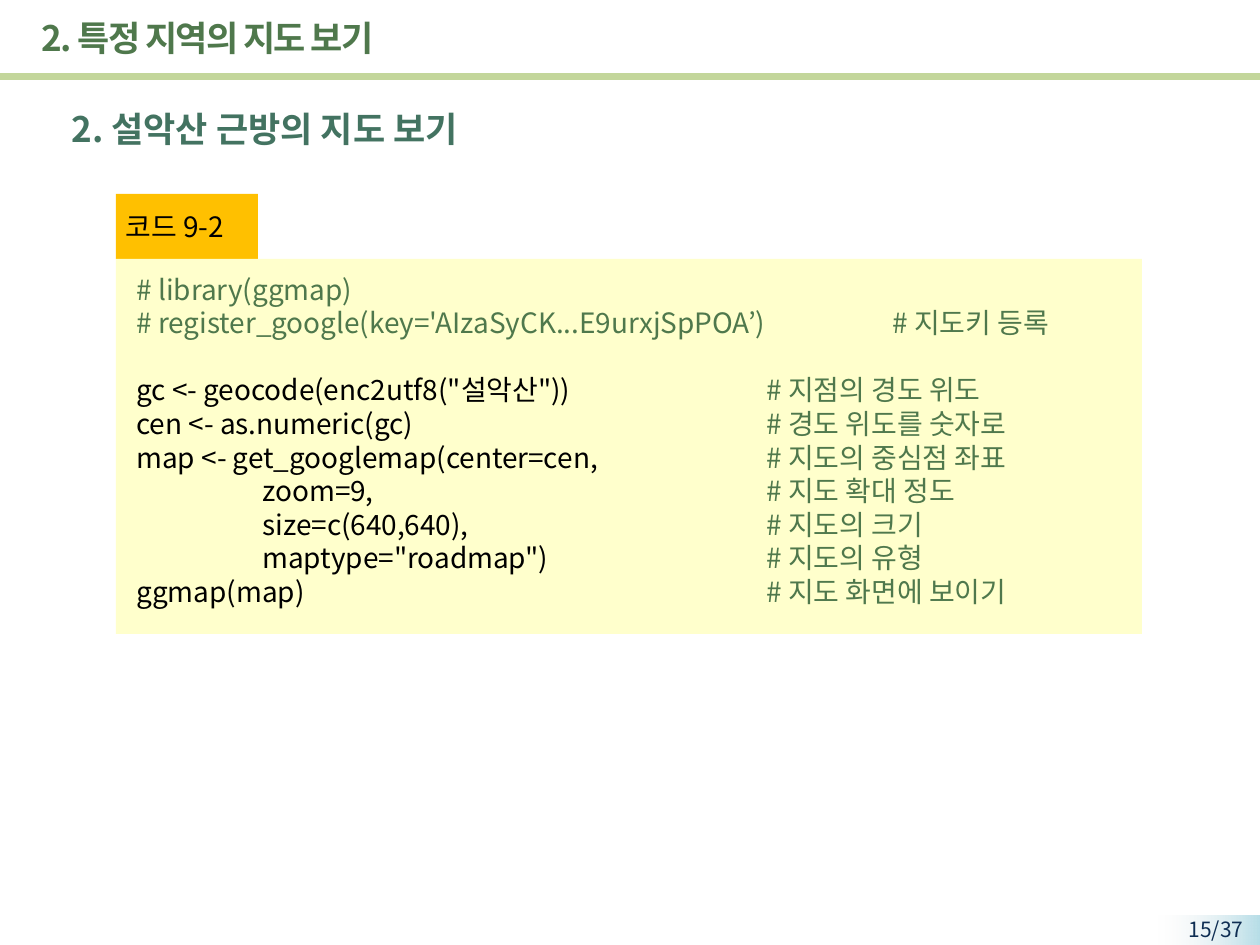
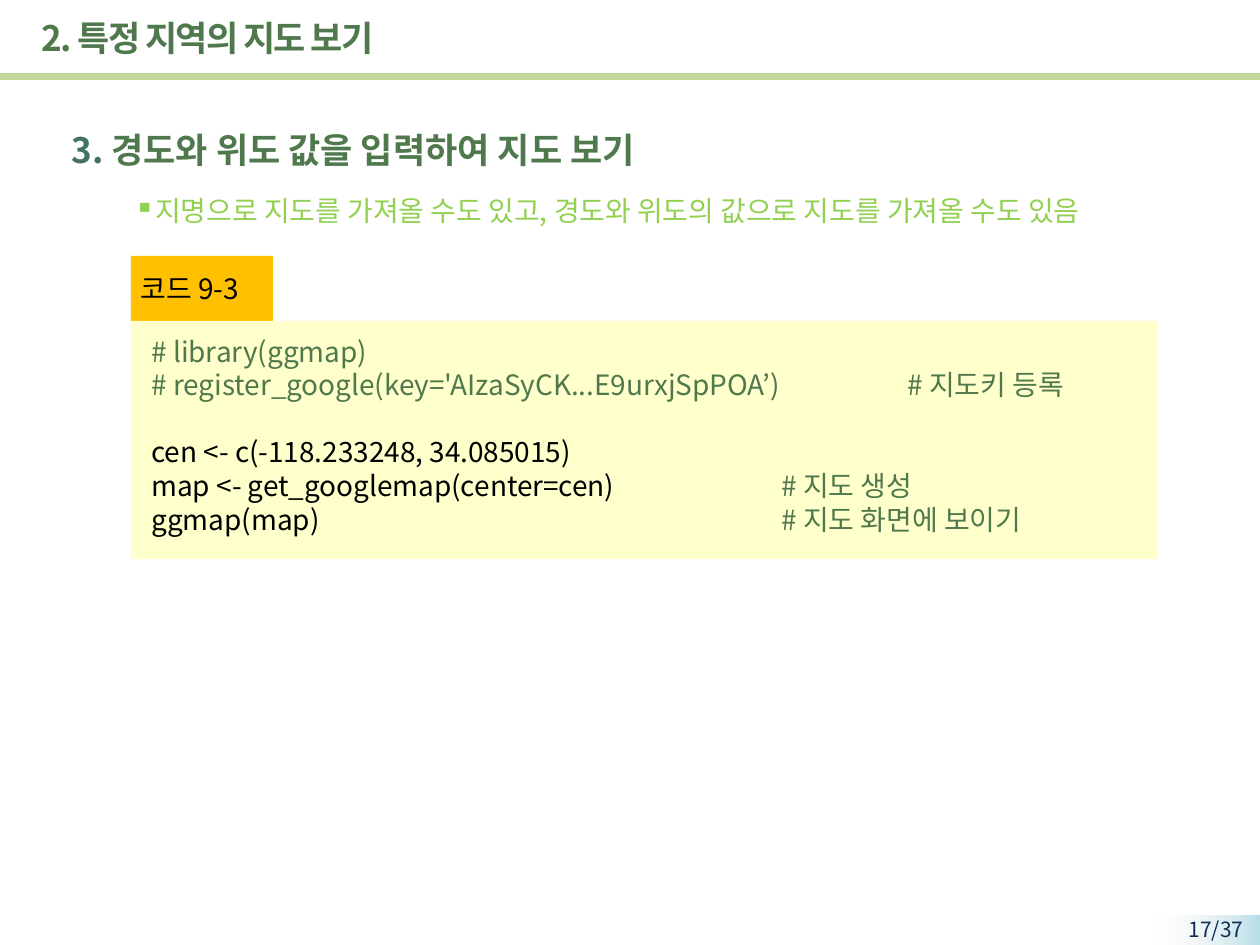
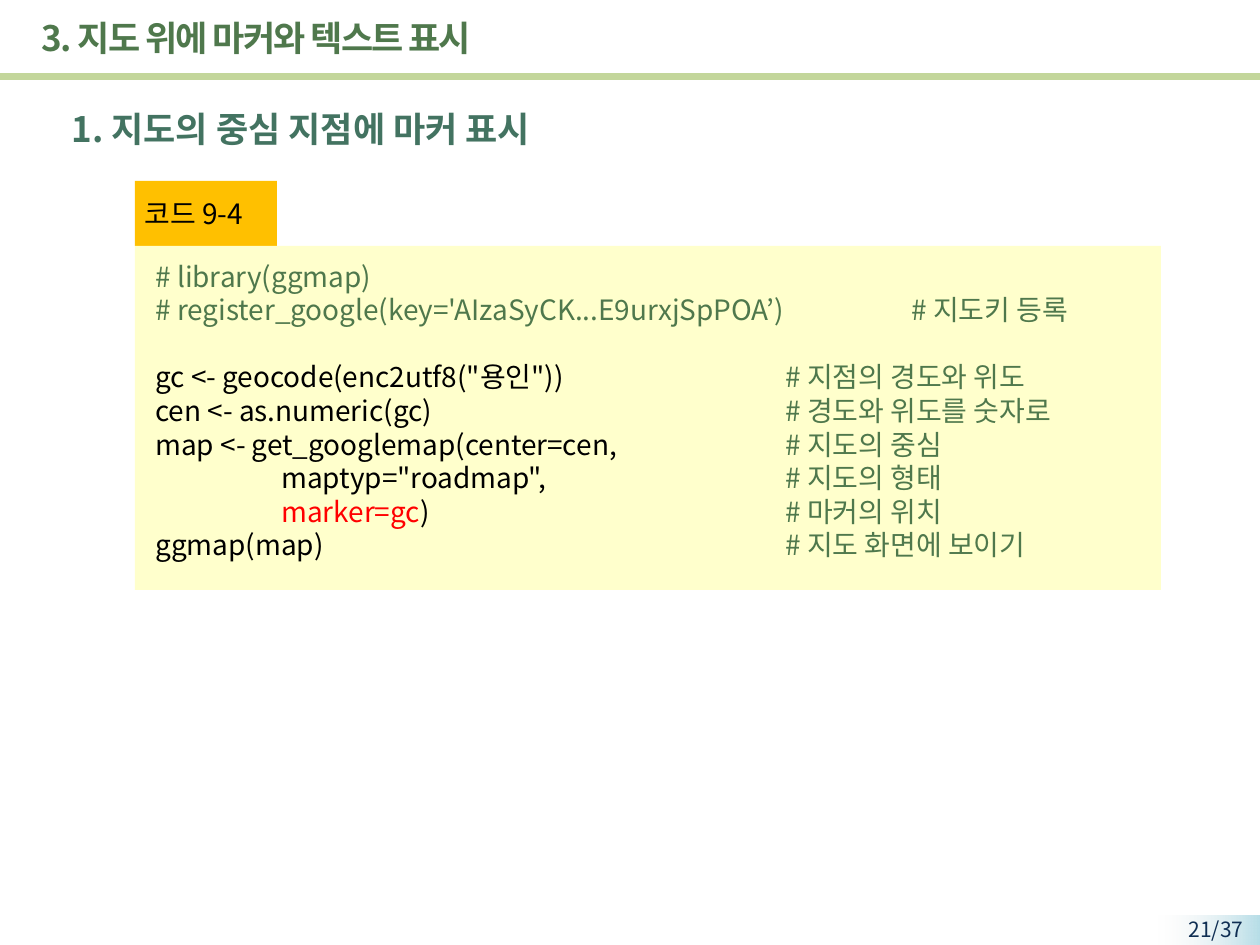
from lxml.etree import SubElement
from pptx import Presentation
from pptx.dml.color import RGBColor
from pptx.enum.shapes import MSO_SHAPE
from pptx.enum.text import MSO_ANCHOR, PP_ALIGN
from pptx.oxml.ns import qn
from pptx.util import Emu, Pt

PX = 914400 // 126
FONT = "Noto Sans CJK KR"
COLORS = {
    "title": "4F784C", "heading": "437361", "point": "92D050", "rule": "C3D69B",
    "badge": "FFC000", "panel": "FFFFCC", "code": "000000", "comment": "4F784C",
    "highlight": "FF0000", "page": "0F2E53", "page_start": "B7DEE8", "page_end": "F2F2F2",
}
PAGE_COUNT = 37
CODE_TABS = (126, 630)  # indent, comment
SETUP_TABS = (756,)  # comment after the long key line
HIGHLIGHT = "marker=gc"

# Code lines are (code, comment); a blank line's gap follows the setup lines.
SETUP = [
    ("# library(ggmap)", ""),
    ("# register_google(key='AIzaSyCK...E9urxjSpPOA’)", "# 지도키 등록"),
]
SLIDES = [
    {
        "page": 15, "title": "2. 특정 지역의 지도 보기",
        "heading": [("2. 설악산 근방의 지도 보기", "heading")],
        "label": "코드 9-2", "origin": (116, 194), "panel_height": 375,
        "code": [
            ('gc <- geocode(enc2utf8("설악산"))', "# 지점의 경도 위도"),
            ("cen <- as.numeric(gc)", "# 경도 위도를 숫자로"),
            ("map <- get_googlemap(center=cen,", "# 지도의 중심점 좌표"),
            ("\tzoom=9,", "# 지도 확대 정도"),
            ("\tsize=c(640,640),", "# 지도의 크기"),
            ('\tmaptype="roadmap")', "# 지도의 유형"),
            ("ggmap(map)", "# 지도 화면에 보이기"),
        ],
    },
    {
        "page": 17, "title": "2. 특정 지역의 지도 보기",
        "heading": [("3. ", "heading"), ("경도와 위도 값을 입력하여 지도 보기", "title")],
        "point": "지명으로 지도를 가져올 수도 있고, 경도와 위도의 값으로 지도를 가져올 수도 있음",
        "label": "코드 9-3", "origin": (131, 256), "panel_height": 238,
        "code": [
            ("cen <- c(-118.233248, 34.085015)", ""),
            ("map <- get_googlemap(center=cen)", "# 지도 생성"),
            ("ggmap(map)", "# 지도 화면에 보이기"),
        ],
    },
    {
        "page": 21, "title": "3. 지도 위에 마커와 텍스트 표시",
        "heading": [("1. 지도의 중심 지점에 마커 표시", "heading")],
        "label": "코드 9-4", "origin": (135, 181), "panel_height": 344,
        "code": [
            ('gc <- geocode(enc2utf8("용인"))', "# 지점의 경도와 위도"),
            ("cen <- as.numeric(gc)", "# 경도와 위도를 숫자로"),
            ("map <- get_googlemap(center=cen,", "# 지도의 중심"),
            ('\tmaptyp="roadmap",', "# 지도의 형태"),
            ("\tmarker=gc)", "# 마커의 위치"),
            ("ggmap(map)", "# 지도 화면에 보이기"),
        ],
    },
]


def rgb(color):
    return RGBColor.from_string(COLORS[color])


def scaled(*lengths):
    return [Emu(length * PX) for length in lengths]


def add_rect(slide, box, color):
    rect = slide.shapes.add_shape(MSO_SHAPE.RECTANGLE, *scaled(*box))
    rect.shadow.inherit = False
    rect.line.fill.background()
    rect.fill.solid()
    rect.fill.fore_color.rgb = rgb(color)
    return rect


def add_frame(slide, box, wrap=True):
    frame = slide.shapes.add_textbox(*scaled(*box)).text_frame
    frame.word_wrap = wrap
    return frame


def add_run(paragraph, text, color, size=16, bold=False):
    run = paragraph.add_run()
    run.text = text
    run.font.size = Pt(size)
    run.font.bold = bold
    run.font.color.rgb = rgb(color)
    run.font.name = FONT
    SubElement(run.font._element, qn("a:ea"), typeface=FONT)
    return run


def add_page_number(slide, page):
    band = add_rect(slide, (1159, 916, 101, 30), "page_start")
    band.fill.gradient()
    band.fill.gradient_angle = 180
    for stop, color in zip(band.fill.gradient_stops, ("page_start", "page_end")):
        stop.color.rgb = rgb(color)
    fading = band.element.spPr.findall(".//" + qn("a:srgbClr"))[-1]
    SubElement(fading, qn("a:alpha"), val="0")
    number = add_frame(slide, (1140, 910, 116, 29)).paragraphs[0]
    number.alignment = PP_ALIGN.RIGHT
    add_run(number, f"{page}/{PAGE_COUNT}", "page", 12)


def add_title(slide, title):
    add_rect(slide, (0, 73, 1260, 7), "rule")
    frame = add_frame(slide, (29, 5, 1072, 66))
    frame.vertical_anchor = MSO_ANCHOR.MIDDLE
    run = add_run(frame.paragraphs[0], title, "title", 20, True)
    run.font._element.set("spc", "-100")


def add_heading(slide, heading, point):
    frame = add_frame(slide, (59, 101, 1178, 140 if point else 55))
    first = frame.paragraphs[0]
    for text, color in heading:
        add_run(first, text, color, 20, True)
    if point:
        bullet = frame.add_paragraph()
        props = bullet._p.get_or_add_pPr()
        props.set("marL", str(63 * PX))
        props.set("indent", "0")
        SubElement(props, qn("a:buChar"), char="▪")
        bullet.space_before = Pt(4)
        first.line_spacing = bullet.line_spacing = 1.5
        add_run(bullet, point, "point")


def add_code_line(paragraph, code, comment, tab_stops):
    tabs = SubElement(paragraph._p.get_or_add_pPr(), qn("a:tabLst"))
    for position in tab_stops:
        SubElement(tabs, qn("a:tab"), pos=str(position * PX), algn="l")
    color = "comment" if code.startswith("#") else "code"
    before, marked, after = code.partition(HIGHLIGHT)
    for text, run_color in ((before, color), (marked, "highlight"), (after, color)):
        if text:
            add_run(paragraph, text, run_color)
    if comment:
        add_run(paragraph, "\t" + comment, "comment")


def add_code_block(slide, label, origin, panel_height, code):
    left, top = origin
    add_rect(slide, (left, top, 142, 65), "badge")
    add_rect(slide, (left, top + 65, 1026, panel_height), "panel")
    label_frame = add_frame(slide, (left - 3, top + 9, 135, 47), wrap=False)
    add_run(label_frame.paragraphs[0], label, "code")

    lines = SETUP + code
    frame = add_frame(slide, (left + 8, top + 72, 978, 34 * (len(lines) + 1) + 13))
    for index, (text, comment) in enumerate(lines):
        paragraph = frame.add_paragraph() if index else frame.paragraphs[0]
        tab_stops = SETUP_TABS if index < len(SETUP) else CODE_TABS
        add_code_line(paragraph, text, comment, tab_stops)
        if index == len(SETUP):
            paragraph.space_before = Pt(19.2)


def main():
    deck = Presentation()
    deck.slide_width, deck.slide_height = scaled(1260, 945)
    for content in SLIDES:
        slide = deck.slides.add_slide(deck.slide_layouts[6])
        add_page_number(slide, content["page"])
        add_title(slide, content["title"])
        add_heading(slide, content["heading"], content.get("point"))
        add_code_block(slide, content["label"], content["origin"],
                       content["panel_height"], content["code"])
    deck.save("out.pptx")


if __name__ == "__main__":
    main()
